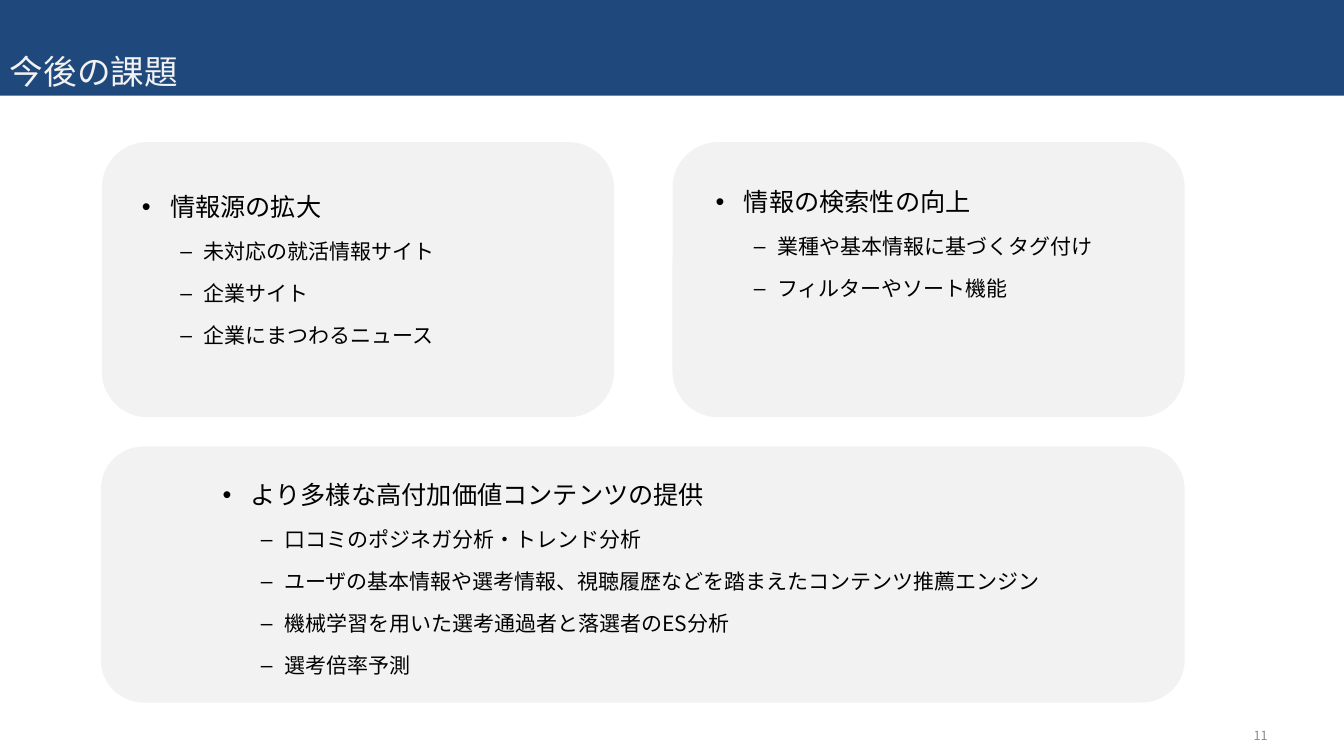
from dataclasses import dataclass

from lxml import etree
from pptx import Presentation
from pptx.dml.color import RGBColor
from pptx.enum.shapes import MSO_SHAPE
from pptx.enum.text import MSO_ANCHOR, PP_ALIGN
from pptx.oxml.ns import qn
from pptx.shapes.autoshape import Shape
from pptx.slide import Slide
from pptx.util import Emu, Pt

RECT, ROUND = MSO_SHAPE.RECTANGLE, MSO_SHAPE.ROUNDED_RECTANGLE
BOTTOM, MIDDLE = MSO_ANCHOR.BOTTOM, MSO_ANCHOR.MIDDLE
LEFT, RIGHT = PP_ALIGN.LEFT, PP_ALIGN.RIGHT
SCALE = 9144  # EMU per px, 100 px to the inch


@dataclass(frozen=True)
class Theme:
    font: str = "Noto Sans CJK JP"
    navy: str = "1F497D"
    pale: str = "F2F2F2"
    ink: str = "000000"
    gray: str = "8C8C8C"
    title: int = 24
    head: int = 18
    item: int = 15
    page: int = 9


@dataclass(frozen=True)
class Box:
    x: int
    y: int
    w: int
    h: int

    def emu(self) -> tuple[Emu, ...]:
        return tuple(Emu(v * SCALE) for v in (self.x, self.y, self.w, self.h))


@dataclass(frozen=True)
class Level:
    mark: str
    left: int
    hang: int
    size: int


@dataclass(frozen=True)
class Card:
    panel: Box
    text: Box
    head: str
    items: tuple[str, ...]


THEME = Theme()
HEAD = Level("•", 28, 28, THEME.head)
ITEM = Level("–", 61, 23, THEME.item)

CARDS = (
    Card(Box(101, 141, 508, 273), Box(131, 170, 593, 262), "情報源の拡大",
         ("未対応の就活情報サイト", "企業サイト", "企業にまつわるニュース")),
    Card(Box(667, 141, 508, 273), Box(700, 165, 593, 262), "情報の検索性の向上",
         ("業種や基本情報に基づくタグ付け", "フィルターやソート機能")),
    Card(Box(100, 443, 1075, 254), Box(211, 456, 879, 249),
         "より多様な高付加価値コンテンツの提供",
         ("口コミのポジネガ分析・トレンド分析",
          "ユーザの基本情報や選考情報、視聴履歴などを踏まえたコンテンツ推薦エンジン",
          "機械学習を用いた選考通過者と落選者のES分析",
          "選考倍率予測")),
)


def style(para, size: int, color: str) -> None:
    """Set the paragraph font, for Latin and East Asian text alike."""
    font = para.font
    font.name, font.size = THEME.font, Pt(size)
    font.color.rgb = RGBColor.from_string(color)
    base = para._p.pPr.find(qn("a:defRPr"))
    east = etree.Element(qn("a:ea"), typeface=THEME.font)
    base.find(qn("a:latin")).addnext(east)


def block(slide: Slide, kind: MSO_SHAPE, box: Box, color: str) -> Shape:
    shape = slide.shapes.add_shape(kind, *box.emu())
    shape.shadow.inherit = False
    shape.fill.solid()
    shape.fill.fore_color.rgb = RGBColor.from_string(color)
    shape.line.fill.background()
    return shape


def label(shape: Shape, text: str, size: int, color: str,
          anchor: MSO_ANCHOR, align: PP_ALIGN) -> None:
    frame = shape.text_frame
    frame.word_wrap = True
    frame.vertical_anchor = anchor
    para = frame.paragraphs[0]
    para.text, para.alignment = text, align
    style(para, size, color)


def bullet(para, text: str, level: Level) -> None:
    para.text = text
    para.line_spacing = 1.5
    props = para._p.get_or_add_pPr()
    props.set("marL", str(level.left * SCALE))
    props.set("indent", str(-level.hang * SCALE))
    etree.SubElement(props, qn("a:buFont"), typeface="Arial")
    etree.SubElement(props, qn("a:buChar"), char=level.mark)
    style(para, level.size, THEME.ink)


def listing(slide: Slide, card: Card) -> None:
    frame = slide.shapes.add_textbox(*card.text.emu()).text_frame
    frame.word_wrap = True
    bullet(frame.paragraphs[0], card.head, HEAD)
    for item in card.items:
        para = frame.add_paragraph()
        para.space_before = Pt(ITEM.size * 0.2)
        bullet(para, item, ITEM)


def main() -> None:
    deck = Presentation()
    deck.slide_width, deck.slide_height = Emu(1333 * SCALE), Emu(750 * SCALE)
    slide = deck.slides.add_slide(deck.slide_layouts[6])

    for card in CARDS:
        block(slide, ROUND, card.panel, THEME.pale)
    band = block(slide, RECT, Box(0, 0, 1333, 95), THEME.navy)
    label(band, "今後の課題", THEME.title, THEME.pale, BOTTOM, LEFT)
    for card in CARDS:
        listing(slide, card)
    page = slide.shapes.add_textbox(*Box(956, 710, 311, 40).emu())
    label(page, "11", THEME.page, THEME.gray, MIDDLE, RIGHT)

    deck.save("out.pptx")


if __name__ == "__main__":
    main()
